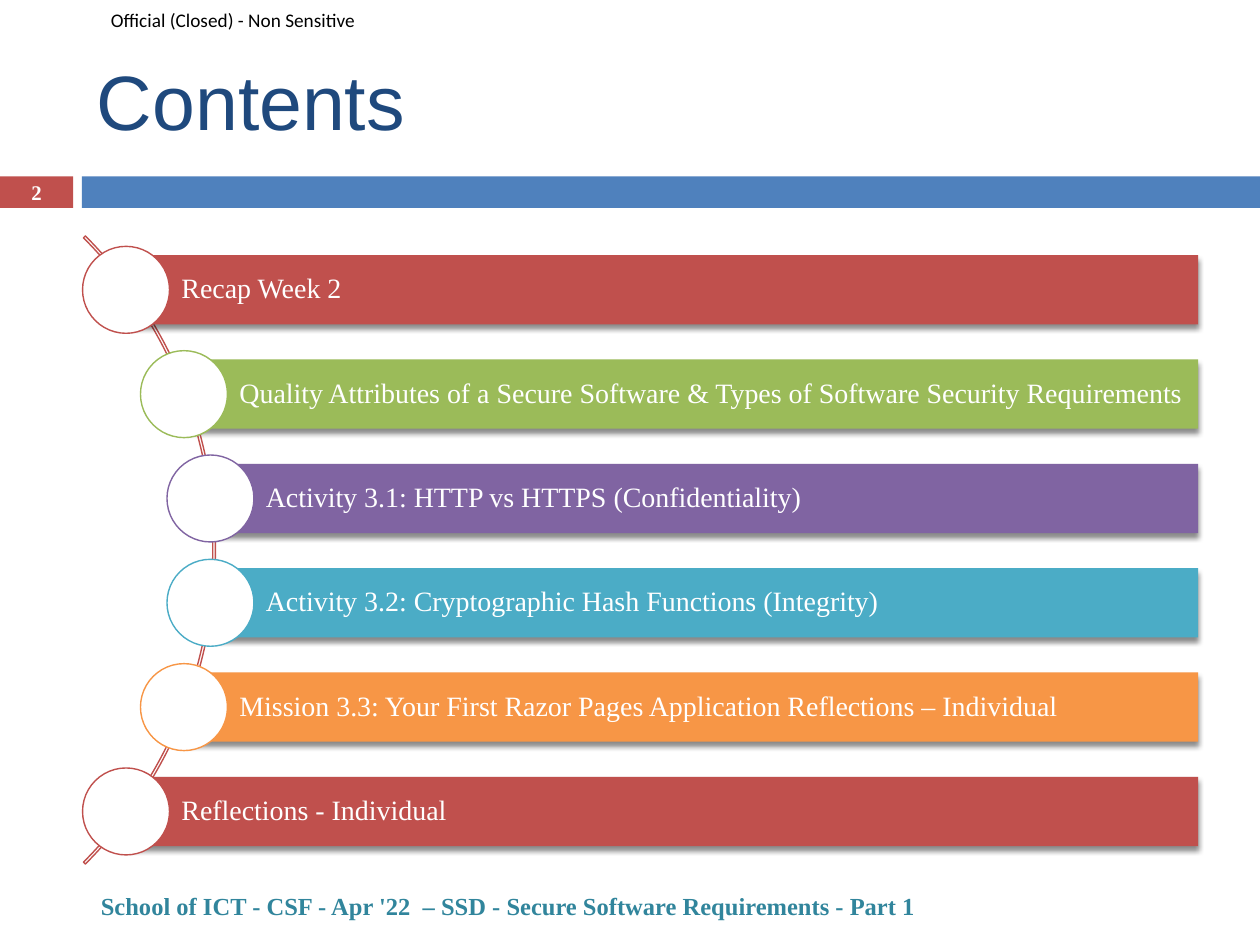
from pptx import Presentation
from pptx.dml.color import RGBColor
from pptx.enum import shapes, text
from pptx.oxml import parse_xml
from pptx.oxml.ns import nsdecls
from pptx.util import Inches, Pt

COLORS = {
    "red": "C0504D", "green": "9BBB59", "purple": "8064A2", "aqua": "4BACC6",
    "orange": "F79646", "blue": "4F81BD", "navy": "1F497D", "teal": "31859C",
    "white": "FFFFFF", "black": "000000",
}
SERIF = "Times New Roman"

# Wording, colour and horizontal centre of the bullet circle
TOPICS = [
    ("Recap Week 2", "red", 1.0),
    ("Quality Attributes of a Secure Software & Types of Software Security Requirements",
     "green", 1.46),
    ("Activity 3.1: HTTP vs HTTPS (Confidentiality)", "purple", 1.67),
    ("Activity 3.2: Cryptographic Hash Functions (Integrity)", "aqua", 1.67),
    ("Mission 3.3: Your First Razor Pages Application Reflections – Individual",
     "orange", 1.46),
    ("Reflections - Individual", "red", 1.0),
]
FIRST_CENTER, LAST_CENTER = 2.3, 6.44
BAR_RIGHT, BAR_HEIGHT = 9.51, 0.55
CIRCLE_SIZE = 0.69


def rgb(name):
    return RGBColor.from_string(COLORS[name])


def write(shape, words, size, color, font=SERIF, bold=False, align=text.PP_ALIGN.LEFT,
          margins=(0.1, 0.05, 0.1, 0.05), line_spacing=None):
    """Set one paragraph of vertically centred text; margins run left, top, right, bottom."""
    frame = shape.text_frame
    frame.word_wrap = True
    frame.vertical_anchor = text.MSO_ANCHOR.MIDDLE
    (frame.margin_left, frame.margin_top,
     frame.margin_right, frame.margin_bottom) = map(Inches, margins)
    paragraph = frame.paragraphs[0]
    paragraph.alignment = align
    paragraph.line_spacing = line_spacing
    run = paragraph.add_run()
    run.text = words
    run.font.name = font
    run.font.size = Pt(size)
    run.font.bold = bold
    run.font.color.rgb = rgb(color)


def add_text(slide, box, words, **style):
    write(slide.shapes.add_textbox(*map(Inches, box)), words, **style)


def add_preset(slide, kind, box, fill=None, line=None):
    shape = slide.shapes.add_shape(kind, *map(Inches, box))
    shape.shadow.inherit = False
    if fill:
        shape.fill.solid()
        shape.fill.fore_color.rgb = rgb(fill)
    else:
        shape.fill.background()
    if line:
        shape.line.color.rgb = rgb(line)
        shape.line.width = Pt(0.79)
    else:
        shape.line.fill.background()
    return shape


def add_drop_shadow(shape):
    effects = shape._element.spPr.find(
        "{http://schemas.openxmlformats.org/drawingml/2006/main}effectLst")
    effects.append(parse_xml(
        f'<a:outerShdw {nsdecls("a")} blurRad="{Pt(3)}" dist="{Pt(2.4)}" '
        f'dir="5400000" rotWithShape="0"><a:srgbClr val="{COLORS["black"]}">'
        '<a:alpha val="45000"/></a:srgbClr></a:outerShdw>'))


def add_header(slide):
    rectangle = shapes.MSO_SHAPE.RECTANGLE
    number = add_preset(slide, rectangle, (0, 1.4, 0.58, 0.25), fill="red")
    write(number, "2", size=11.9, color="white", bold=True, align=text.PP_ALIGN.CENTER)
    add_preset(slide, rectangle, (0.65, 1.4, 9.35, 0.25), fill="blue")
    add_text(slide, (0, 0, 3.01, 0.31), "Official (Closed) - Non Sensitive",
             size=11, color="black", font="Calibri", margins=(0.88, 0, 0, 0))
    add_text(slide, (0.67, 0.25, 8.92, 1.08), "Contents",
             size=44, color="navy", font="Arial")


def add_arc(slide):
    arc = add_preset(slide, shapes.MSO_SHAPE.BLOCK_ARC, (-5.34, 0.84, 7.05, 7.05), line="red")
    for index, value in enumerate((189, 27, 0.003)):
        arc.adjustments[index] = value


def add_topic(slide, words, color, center_x, center_y):
    """Draw a bar that starts at the middle of its bullet circle."""
    bar = add_preset(slide, shapes.MSO_SHAPE.RECTANGLE,
                     (center_x, center_y - BAR_HEIGHT / 2, BAR_RIGHT - center_x, BAR_HEIGHT),
                     fill=color)
    add_drop_shadow(bar)
    write(bar, words, size=16, color="white", margins=(0.44, 0.04, 0.04, 0.04),
          line_spacing=0.9)
    radius = CIRCLE_SIZE / 2
    add_preset(slide, shapes.MSO_SHAPE.OVAL,
               (center_x - radius, center_y - radius, CIRCLE_SIZE, CIRCLE_SIZE),
               fill="white", line=color)


def main():
    presentation = Presentation()
    presentation.slide_width, presentation.slide_height = Inches(10), Inches(7.5)
    slide = presentation.slides.add_slide(presentation.slide_layouts[6])
    add_header(slide)
    add_arc(slide)
    pitch = (LAST_CENTER - FIRST_CENTER) / (len(TOPICS) - 1)
    for index, (words, color, center_x) in enumerate(TOPICS):
        add_topic(slide, words, color, center_x, FIRST_CENTER + index * pitch)
    add_text(slide, (0.67, 6.99, 6.73, 0.4),
             "School of ICT - CSF - Apr '22  – SSD - Secure Software Requirements - Part 1",
             size=14, color="teal", bold=True, align=text.PP_ALIGN.CENTER)
    presentation.save("out.pptx")


if __name__ == "__main__":
    main()
